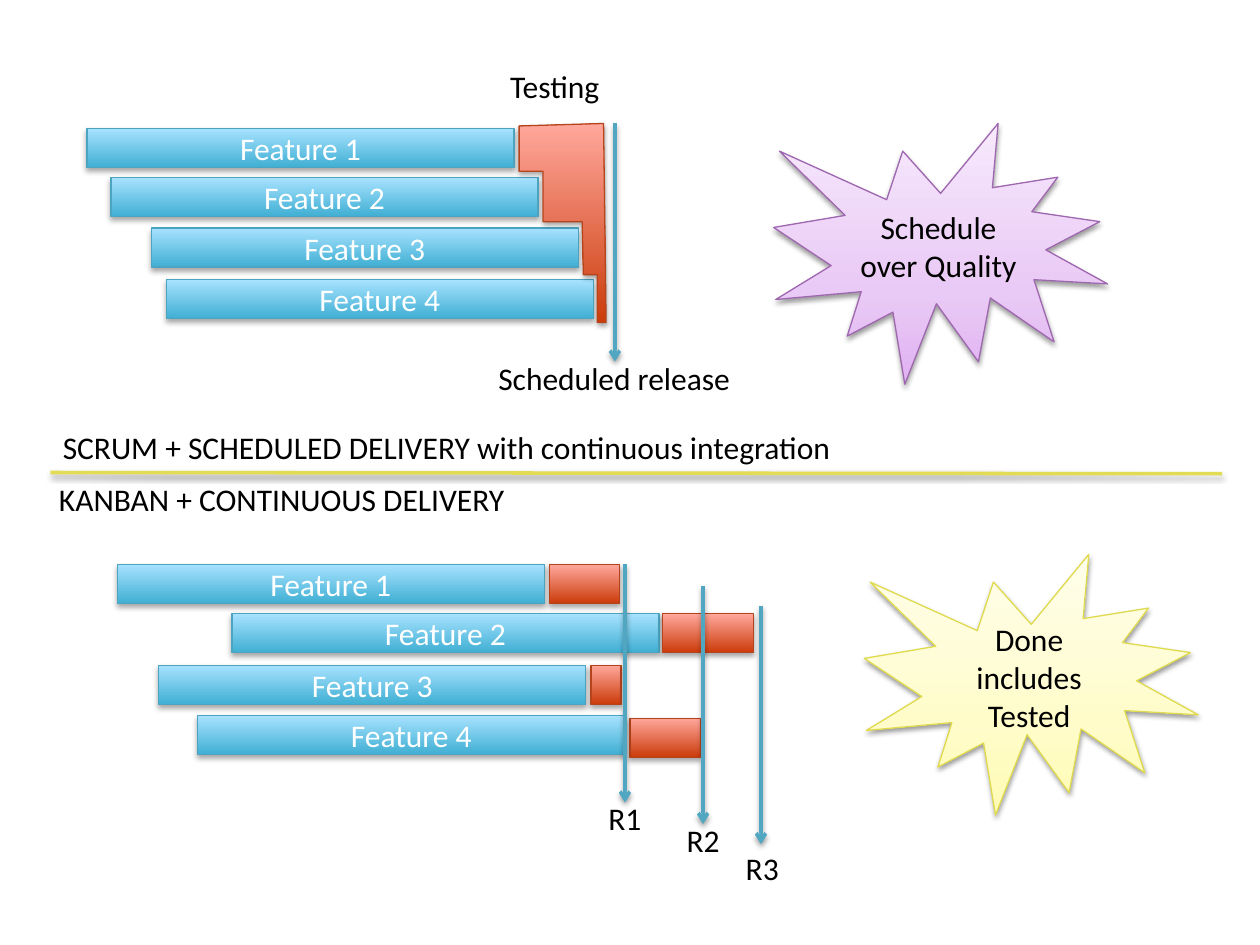
from dataclasses import dataclass

from lxml import etree
from pptx import Presentation
from pptx.dml.color import RGBColor
from pptx.enum.shapes import MSO_CONNECTOR, MSO_SHAPE
from pptx.enum.text import MSO_ANCHOR, MSO_AUTO_SIZE, PP_ALIGN
from pptx.oxml.ns import qn
from pptx.util import Inches, Pt

RECTANGLE = MSO_SHAPE.RECTANGLE
BURST = MSO_SHAPE.EXPLOSION1
STRAIGHT = MSO_CONNECTOR.STRAIGHT
CENTER, LEFT = PP_ALIGN.CENTER, PP_ALIGN.LEFT
MIDDLE = MSO_ANCHOR.MIDDLE
FIT_TEXT = MSO_AUTO_SIZE.SHAPE_TO_FIT_TEXT

BLACK, WHITE = "000000", "FFFFFF"
ARROW_BLUE, DIVIDER_YELLOW = "51A6C2", "E1DC53"
BAR_WIDTH, BAR_HEIGHT = 3.39, 0.31
BURST_WIDTH, BURST_HEIGHT = 2.65, 2.07
ARROW_LENGTH = 1.89
LABEL_HEIGHT = 0.4


@dataclass(frozen=True)
class Style:
    """Gradient stops run from the bottom edge up, as (percent, colour)."""
    stops: tuple
    outline: str
    shadow_alpha: int = 38
    shadow_distance: float = 1.6


@dataclass(frozen=True)
class Bar:
    left: float
    top: float
    width: float = BAR_WIDTH
    text: str = ""


@dataclass(frozen=True)
class Arrow:
    left: float
    top: float


@dataclass(frozen=True)
class Burst:
    left: float
    top: float
    text: str
    style: Style


@dataclass(frozen=True)
class Label:
    left: float
    top: float
    width: float
    text: str
    centered: bool = False


FEATURE = Style(((0, "40AFD3"), (100, "A7E2FF")), "4CA4C0", 35, 1.8)
TESTING = Style(((0, "CB3C0B"), (100, "FFA79C")), "B5441D", 35, 1.8)
YELLOW = Style(((0, "FFFBB4"), (35, "FFFCCA"), (100, "FFFEEB")), "E0DA4E")
PURPLE = Style(((0, "E0B2F2"), (35, "E9C9F5"), (100, "F7E9FC")), "9E67AF")

SCRUM_STARTS = [(0.69, 1.02), (0.88, 1.41), (1.2, 1.81), (1.32, 2.22)]
KANBAN_STARTS = [(0.93, 4.48), (1.84, 4.87), (1.26, 5.28), (1.57, 5.68)]
KANBAN_TESTS = [
    Bar(4.36, 4.48, 0.56),
    Bar(5.26, 4.87, 0.72),
    Bar(4.69, 5.28, 0.24),
    Bar(5, 5.7, 0.56),
]
SCRUM_TEST_OUTLINE = [
    (4.12, 1), (4.12, 1.36), (4.31, 1.36), (4.31, 1.76), (4.62, 1.76),
    (4.63, 2.18), (4.74, 2.18), (4.74, 2.56), (4.81, 2.56), (4.79, 0.98),
]
RELEASE_ARROWS = [Arrow(4.88, 0.98), Arrow(4.96, 4.48), Arrow(5.58, 4.65), Arrow(6.04, 4.81)]
BURSTS = [
    Burst(6.86, 4.4, "Done includes Tested", YELLOW),
    Burst(6.14, 0.98, "Schedule over Quality", PURPLE),
]
LABELS = [
    Label(3.45, 2.8, 2.85, "Scheduled release", centered=True),
    Label(3.95, 0.48, 0.92, "Testing"),
    Label(4.73, 6.29, 0.48, "R1"),
    Label(5.35, 6.47, 0.48, "R2"),
    Label(5.82, 6.69, 0.48, "R3"),
    Label(0.4, 3.35, 6.74, "SCRUM + SCHEDULED DELIVERY with continuous integration"),
    Label(0.37, 3.76, 4.34, "KANBAN + CONTINUOUS DELIVERY"),
]


def rgb(color: str) -> RGBColor:
    return RGBColor.from_string(color)


def add_shadow(properties, alpha: int, distance: float) -> None:
    """Append a downward shadow; the line must already be set."""
    effects = etree.SubElement(properties, qn("a:effectLst"))
    shadow = etree.SubElement(
        effects, qn("a:outerShdw"), blurRad=str(Pt(3.1)), dist=str(Pt(distance)),
        dir="5400000", rotWithShape="0")
    color = etree.SubElement(shadow, qn("a:srgbClr"), val=BLACK)
    etree.SubElement(color, qn("a:alpha"), val=str(alpha * 1000))


def apply_style(shape, style: Style) -> None:
    shape.fill.gradient()
    shape.fill.gradient_angle = 90
    properties = shape._element.spPr
    stop_list = properties.find(qn("a:gradFill")).find(qn("a:gsLst"))
    for stop in list(stop_list):
        stop_list.remove(stop)
    for percent, color in style.stops:
        stop = etree.SubElement(stop_list, qn("a:gs"), pos=str(percent * 1000))
        etree.SubElement(stop, qn("a:srgbClr"), val=color)
    shape.line.color.rgb = rgb(style.outline)
    shape.line.width = Pt(0.75)
    add_shadow(properties, style.shadow_alpha, style.shadow_distance)


def write_text(frame, text: str, *, color: str = BLACK, align=CENTER) -> None:
    para = frame.paragraphs[0]
    para.alignment = align
    span = para.add_run()
    span.text = text
    span.font.name = "Calibri"
    span.font.size = Pt(18)
    span.font.color.rgb = rgb(color)


def draw_shape(page, kind, left: float, top: float, width: float, height: float,
               style: Style, text: str = "", color: str = BLACK) -> None:
    shape = page.shapes.add_shape(
        kind, Inches(left), Inches(top), Inches(width), Inches(height))
    apply_style(shape, style)
    if text:
        shape.text_frame.word_wrap = True
        shape.text_frame.vertical_anchor = MIDDLE
        write_text(shape.text_frame, text, color=color)


def draw_bar(page, bar: Bar, style: Style) -> None:
    draw_shape(page, RECTANGLE, bar.left, bar.top, bar.width, BAR_HEIGHT,
               style, bar.text, WHITE)


def draw_scrum_testing(page) -> None:
    points = [(Inches(x), Inches(y)) for x, y in SCRUM_TEST_OUTLINE]
    builder = page.shapes.build_freeform(*points[0])
    builder.add_line_segments(points[1:], close=True)
    apply_style(builder.convert_to_shape(), TESTING)


def draw_line(page, start: tuple, end: tuple, color: str, arrow: bool = False) -> None:
    line = page.shapes.add_connector(STRAIGHT, *map(Inches, start + end))
    line.line.color.rgb = rgb(color)
    line.line.width = Pt(2)
    properties = line._element.spPr
    if arrow:
        etree.SubElement(properties.find(qn("a:ln")), qn("a:tailEnd"), type="arrow")
    add_shadow(properties, 38, 1.6)


def draw_label(page, label: Label) -> None:
    box = page.shapes.add_textbox(
        Inches(label.left), Inches(label.top), Inches(label.width), Inches(LABEL_HEIGHT))
    box.text_frame.word_wrap = label.centered
    box.text_frame.auto_size = FIT_TEXT
    write_text(box.text_frame, label.text, align=CENTER if label.centered else LEFT)


def main() -> None:
    deck = Presentation()
    deck.slide_width, deck.slide_height = Inches(10), Inches(7.5)
    page = deck.slides.add_slide(deck.slide_layouts[6])

    draw_line(page, (0.4, 3.75), (9.7, 3.76), DIVIDER_YELLOW)
    for starts in (SCRUM_STARTS, KANBAN_STARTS):
        for number, (left, top) in enumerate(starts, 1):
            draw_bar(page, Bar(left, top, text=f"Feature {number}"), FEATURE)
    draw_scrum_testing(page)
    for bar in KANBAN_TESTS:
        draw_bar(page, bar, TESTING)
    for arrow in RELEASE_ARROWS:
        draw_line(page, (arrow.left, arrow.top), (arrow.left, arrow.top + ARROW_LENGTH),
                  ARROW_BLUE, arrow=True)
    for burst in BURSTS:
        draw_shape(page, BURST, burst.left, burst.top, BURST_WIDTH, BURST_HEIGHT,
                   burst.style, burst.text)
    for label in LABELS:
        draw_label(page, label)

    deck.save("out.pptx")


if __name__ == "__main__":
    main()
